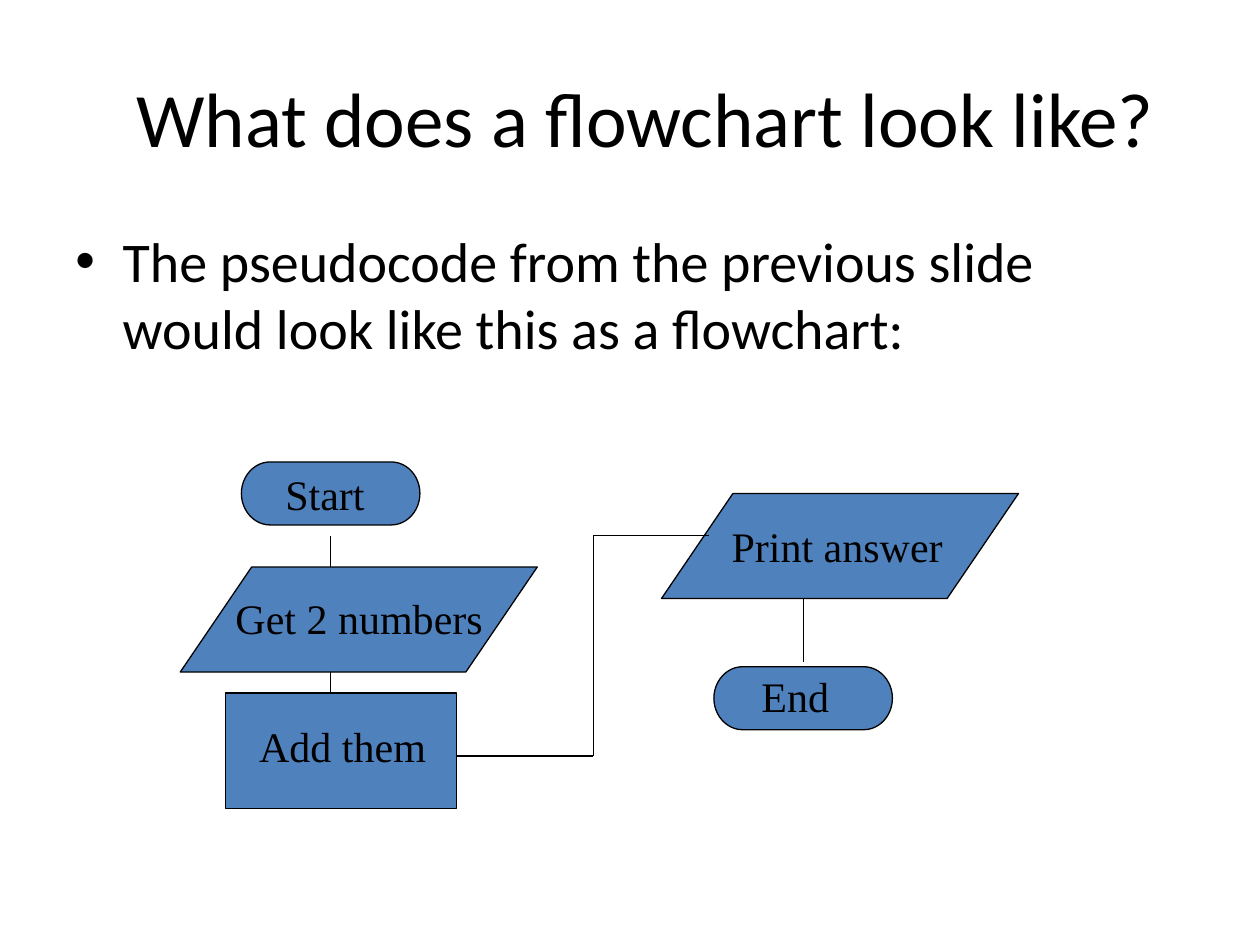
from lxml import etree
from pptx import Presentation
from pptx.dml.color import RGBColor
from pptx.enum.shapes import MSO_CONNECTOR, MSO_SHAPE as SHAPE
from pptx.enum.text import MSO_ANCHOR as ANCHOR, MSO_AUTO_SIZE as FIT, PP_ALIGN as ALIGN
from pptx.oxml.ns import qn
from pptx.util import Pt

BLACK = RGBColor(0x00, 0x00, 0x00)
BLUE = RGBColor(0x4F, 0x81, 0xBD)
LINE_WIDTH = Pt(0.75)

TERMINATOR = (SHAPE.FLOWCHART_TERMINATOR, 102, 36)
INPUT_OUTPUT = (SHAPE.FLOWCHART_DATA, 204, 60)
PROCESS = (SHAPE.FLOWCHART_PROCESS, 132, 66)

# Step: kind, left, top, label text, label offset x and y, label width
STEPS = [
    (TERMINATOR, 138, 264, "Start", 18, 0, 60),
    (INPUT_OUTPUT, 103, 324, "Get 2 numbers", 24.5, 10.8, 155.5),
    (PROCESS, 129, 396, "Add them", 12, 12, 110),
    (INPUT_OUTPUT, 378, 282, "Print answer", 33, 12, 135.5),
    (TERMINATOR, 408, 381, "End", 20, -1.5, 53.5),
]

# Each route is a chain of straight segments through its corner points
ROUTES = [
    [(189, 306), (189, 324)],
    [(189, 384), (189, 396)],
    [(261, 432), (339, 432), (339, 306), (405, 306)],
    [(459, 342), (459, 378)],
]


def style_font(para, name, size):
    para.font.name = name
    para.font.size = Pt(size)
    para.font.color.rgb = BLACK


def add_title(page, left, top, width, height):
    title = page.shapes.title
    title.left, title.top, title.width, title.height = map(Pt, (left, top, width, height))
    title.text_frame.text = "What does a flowchart look like?"
    title.text_frame.vertical_anchor = ANCHOR.MIDDLE
    para = title.text_frame.paragraphs[0]
    para.alignment = ALIGN.CENTER
    style_font(para, "Calibri", 44)


def add_body(page, left, top, width, height):
    box = page.shapes.add_textbox(*map(Pt, (left, top, width, height)))
    box.text_frame.word_wrap = True
    para = box.text_frame.paragraphs[0]
    para.text = "The pseudocode from the previous slide would look like this as a flowchart:"
    para.space_before = Pt(6.4)
    style_font(para, "Calibri", 32)
    # Hanging bullet
    props = para._p.get_or_add_pPr()
    props.set("marL", str(Pt(27)))
    props.set("indent", str(-Pt(27)))
    etree.SubElement(props, qn("a:buFont")).set("typeface", "Arial")
    etree.SubElement(props, qn("a:buChar")).set("char", "•")
    # Bullet elements go before the default run properties
    props.append(props.find(qn("a:defRPr")))


def add_symbol(page, kind, left, top):
    preset, width, height = kind
    symbol = page.shapes.add_shape(preset, *map(Pt, (left, top, width, height)))
    symbol.shadow.inherit = False
    symbol.fill.solid()
    symbol.fill.fore_color.rgb = BLUE
    symbol.line.color.rgb = BLACK
    symbol.line.width = LINE_WIDTH


def add_label(page, text, left, top, width):
    box = page.shapes.add_textbox(*map(Pt, (left, top, width, 36)))
    box.text_frame.word_wrap = False
    box.text_frame.auto_size = FIT.SHAPE_TO_FIT_TEXT
    para = box.text_frame.paragraphs[0]
    para.text = text
    style_font(para, "Times New Roman", 24)


def add_segment(page, start, end):
    segment = page.shapes.add_connector(MSO_CONNECTOR.STRAIGHT, *map(Pt, (*start, *end)))
    segment.line.color.rgb = BLACK
    segment.line.width = LINE_WIDTH
    etree.SubElement(segment._element.spPr, qn("a:effectLst"))


def add_flowchart(page):
    # Symbols first, then labels and lines on top
    for kind, left, top, *_ in STEPS:
        add_symbol(page, kind, left, top)
    for _, left, top, text, shift_x, shift_y, width in STEPS:
        add_label(page, text, left + shift_x, top + shift_y, width)
    for route in ROUTES:
        for start, end in zip(route, route[1:]):
            add_segment(page, start, end)


def main():
    deck = Presentation()
    deck.slide_width, deck.slide_height = Pt(720), Pt(540)
    page = deck.slides.add_slide(deck.slide_layouts[5])
    add_title(page, 18, 21.6, 702, 90)
    add_body(page, 36, 126, 648, 356.4)
    add_flowchart(page)
    deck.save("out.pptx")


if __name__ == "__main__":
    main()
